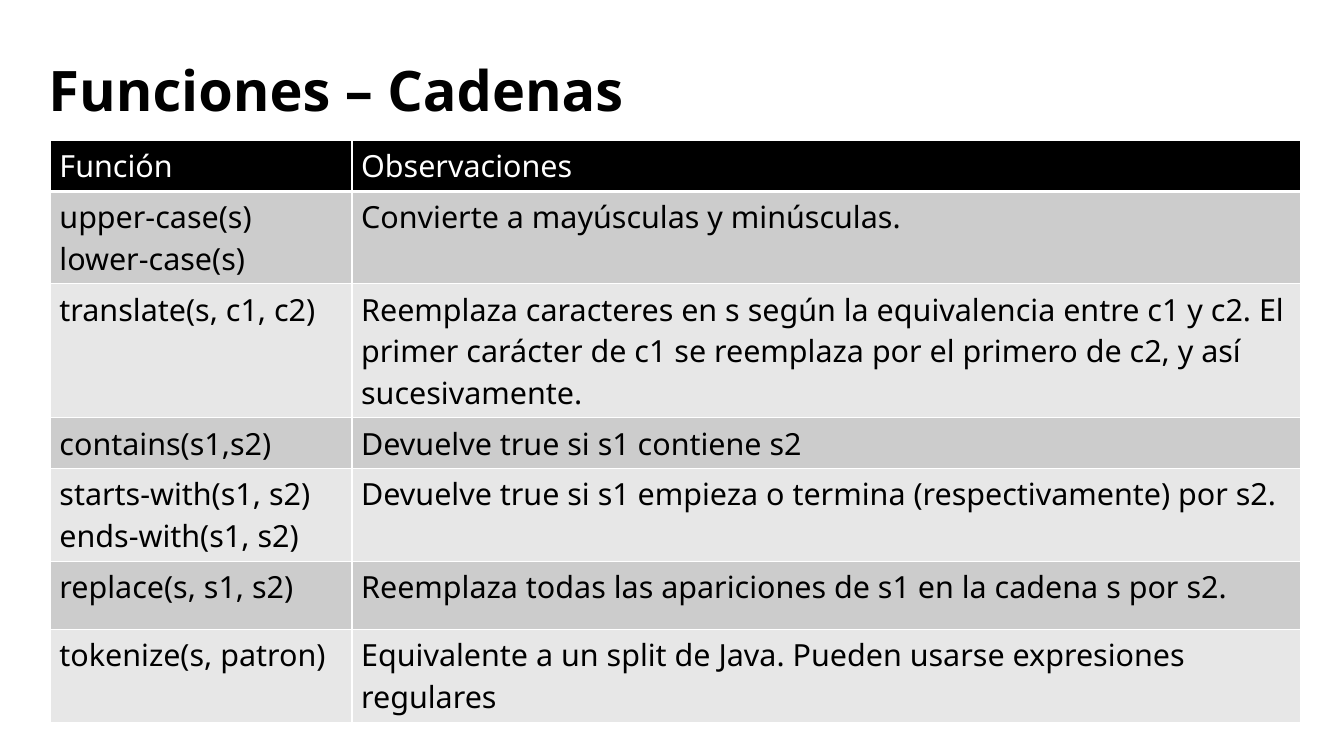
from typing import NamedTuple

from lxml.etree import SubElement
from pptx import Presentation
from pptx.dml.color import RGBColor
from pptx.enum.text import MSO_ANCHOR, MSO_AUTO_SIZE, PP_ALIGN
from pptx.oxml.ns import qn
from pptx.slide import Slide
from pptx.table import _Cell
from pptx.text.text import TextFrame
from pptx.util import Inches, Pt

FONT = "Noto Sans"
COLOURS = {
    "black": "000000",
    "white": "FFFFFF",
    "dark_band": "CCCCCC",
    "light_band": "E7E7E7",
}
COLUMN_WIDTHS = (3.3, 10.38)


class FunctionRow(NamedTuple):
    function: str
    remarks: str
    height: float


HEADER = FunctionRow("Función", "Observaciones", 0.49)
FUNCTIONS = [
    FunctionRow("upper-case(s)\nlower-case(s)", "Convierte a mayúsculas y minúsculas.", 0.64),
    FunctionRow(
        "translate(s, c1, c2)",
        "Reemplaza caracteres en s según la equivalencia entre c1 y c2. "
        "El primer carácter de c1 se reemplaza por el primero de c2, y así sucesivamente.",
        0.75,
    ),
    FunctionRow("contains(s1,s2)", "Devuelve true si s1 contiene s2", 0.54),
    FunctionRow(
        "starts-with(s1, s2)\nends-with(s1, s2)",
        "Devuelve true si s1 empieza o termina (respectivamente) por s2.",
        0.75,
    ),
    FunctionRow(
        "replace(s, s1, s2)",
        "Reemplaza todas las apariciones de s1 en la cadena s por s2.",
        0.75,
    ),
    FunctionRow(
        "tokenize(s, patron)",
        "Equivalente a un split de Java. Pueden usarse expresiones regulares",
        0.75,
    ),
]


def write_text(
    frame: TextFrame,
    text: str,
    *,
    size: float,
    colour: str = "black",
    bold: bool = False,
    line_spacing: float = 1.0,
) -> None:
    """Fill the first paragraph; a newline becomes a line break."""
    paragraph = frame.paragraphs[0]
    paragraph.text = text.replace("\n", "\v")
    paragraph.alignment = PP_ALIGN.LEFT
    paragraph.line_spacing = line_spacing
    for run in paragraph.runs:
        run.font.name = FONT
        run.font.size = Pt(size)
        run.font.bold = bold
        run.font.color.rgb = RGBColor.from_string(COLOURS[colour])


def set_borders(cell: _Cell, bottom_width: float) -> None:
    properties = cell._tc.get_or_add_tcPr()
    for side, width in (("L", 1), ("R", 1), ("T", 1), ("B", bottom_width)):
        line = SubElement(properties, qn(f"a:ln{side}"), w=str(Pt(width)))
        fill = SubElement(line, qn("a:solidFill"))
        SubElement(fill, qn("a:srgbClr"), val=COLOURS["white"])


def add_title(slide: Slide, text: str) -> None:
    title = slide.shapes.title
    title.left, title.top = Inches(0.53), Inches(0.28)
    title.width, title.height = Inches(13.71), Inches(1.48)
    frame = title.text_frame
    frame.margin_left = frame.margin_right = frame.margin_top = frame.margin_bottom = 0
    frame.vertical_anchor = MSO_ANCHOR.MIDDLE
    frame.auto_size = MSO_AUTO_SIZE.NONE
    frame.word_wrap = True
    write_text(frame, text, size=44, bold=True, line_spacing=0.9)


def add_function_table(slide: Slide) -> None:
    rows = [HEADER, *FUNCTIONS]
    table = slide.shapes.add_table(
        len(rows),
        len(COLUMN_WIDTHS),
        Inches(0.55),
        Inches(1.54),
        Inches(sum(COLUMN_WIDTHS)),
        Inches(sum(row.height for row in rows)),
    ).table
    for column, width in zip(table.columns, COLUMN_WIDTHS):
        column.width = Inches(width)

    for index, row in enumerate(rows):
        table.rows[index].height = Inches(row.height)
        is_header = index == 0
        band = "dark_band" if index % 2 else "light_band"
        for cell, text in zip(table.rows[index].cells, (row.function, row.remarks)):
            set_borders(cell, bottom_width=3 if is_header else 1)
            cell.fill.solid()
            cell.fill.fore_color.rgb = RGBColor.from_string(
                COLOURS["black" if is_header else band]
            )
            write_text(
                cell.text_frame, text, size=24, colour="white" if is_header else "black"
            )


def main() -> None:
    presentation = Presentation()
    presentation.slide_width = Inches(14.7)
    presentation.slide_height = Inches(8.27)
    slide = presentation.slides.add_slide(presentation.slide_layouts.get_by_name("Title Only"))
    add_title(slide, "Funciones – Cadenas")
    add_function_table(slide)
    presentation.save("out.pptx")


if __name__ == "__main__":
    main()
